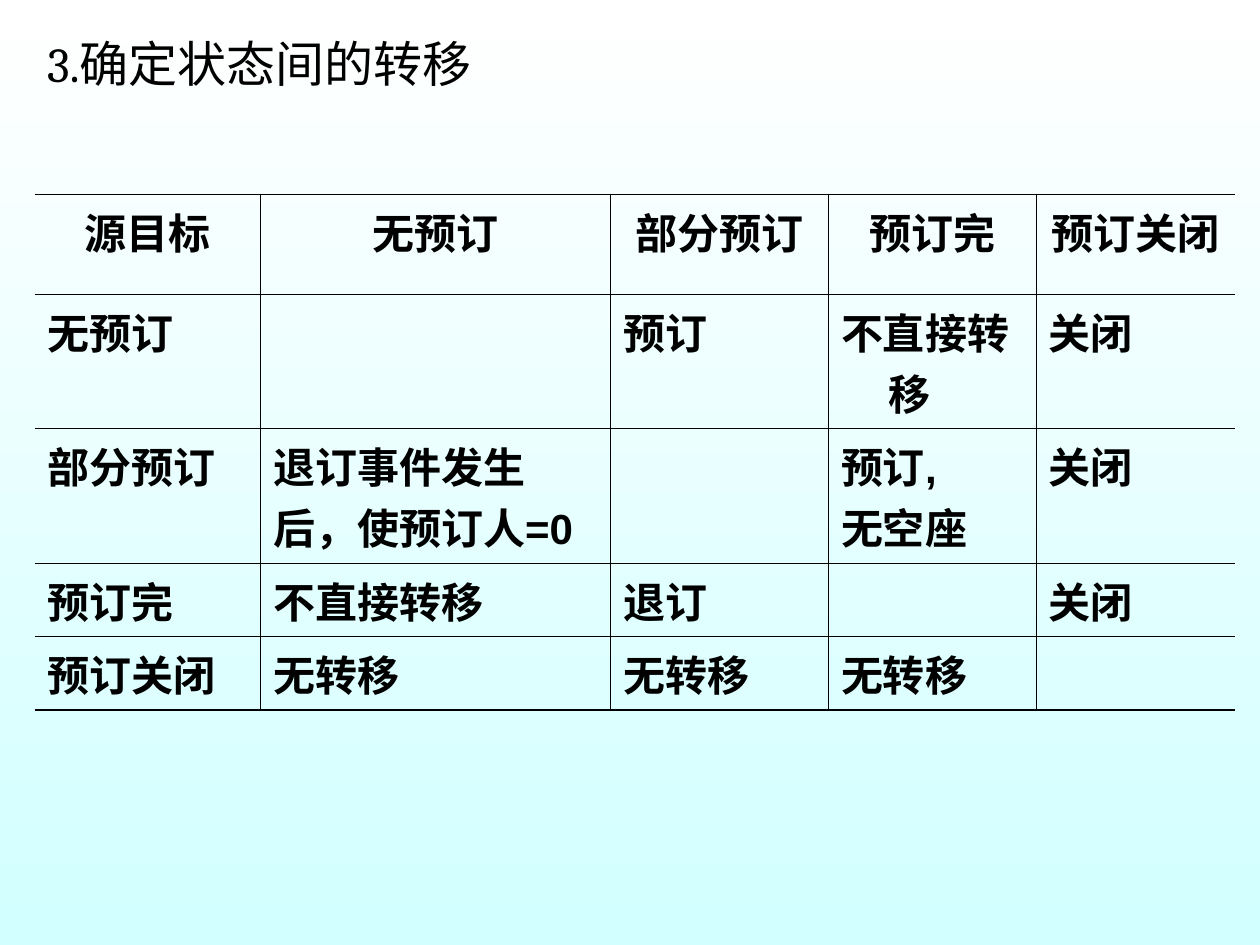
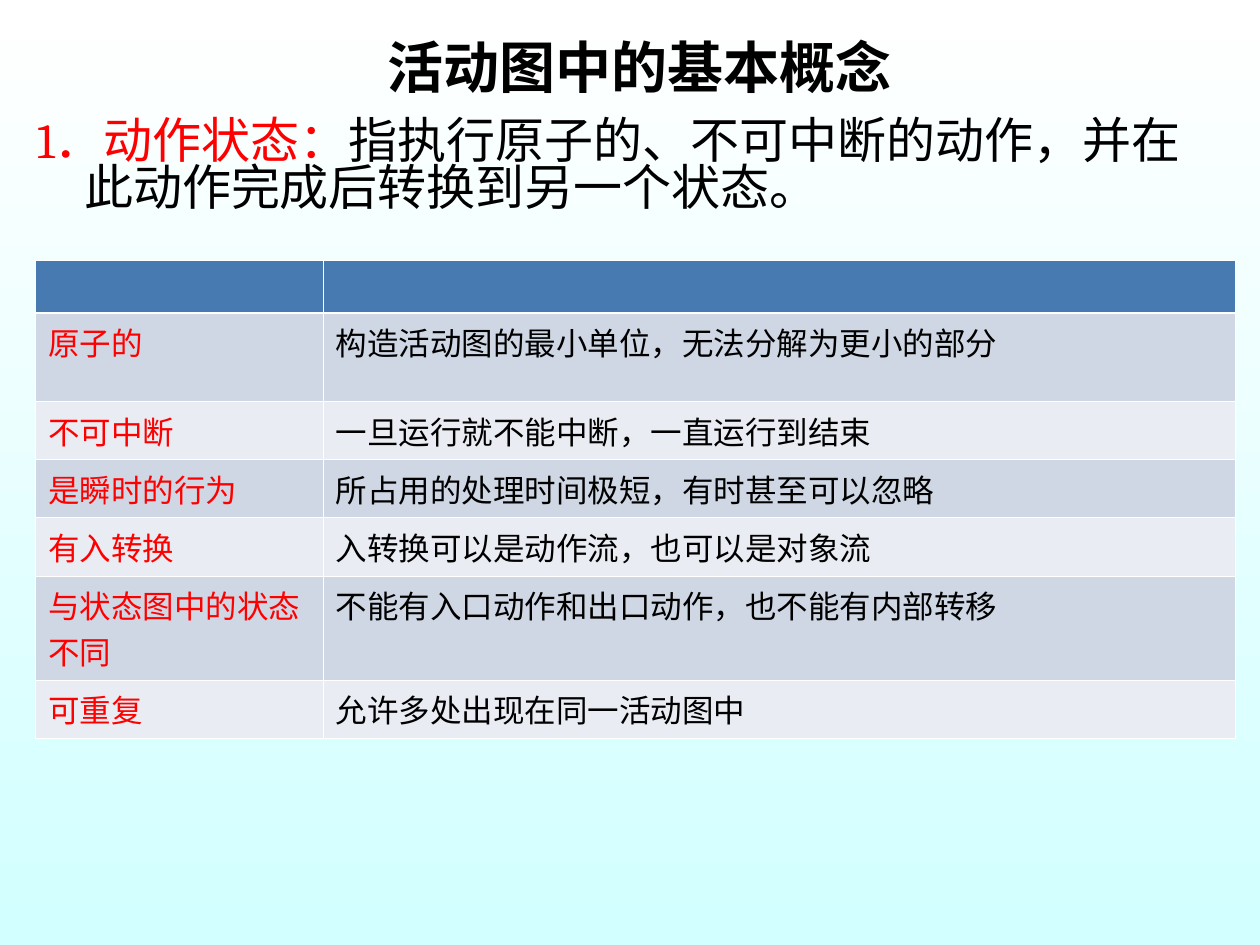
from lxml.etree import SubElement, Element
from pptx import Presentation
from pptx.dml.color import RGBColor as Rgb
from pptx.enum.text import MSO_ANCHOR as Anchor, PP_ALIGN as Align
from pptx.oxml.ns import qn
from pptx.util import Cm, Pt

COLOURS = {
    "black": "000000", "red": "FF0000", "white": "FFFFFF", "aqua": "D2FFFF",
    "header": "477AB1", "band": "CFD7E4", "pale": "E9ECF2",
}
HEADING = {"size": Pt(28), "name": "Cambria", "bold": False}
TOPIC = {"size": Pt(32), "name": "Arial", "bold": True}
STATE = {"size": Pt(24), "name": "Arial", "bold": True}
CONCEPT = {"size": Pt(18), "name": "Cambria", "bold": False}
FRAME = {"word_wrap": True, "margin_left": Cm(0.25), "margin_right": Cm(0.25),
         "margin_top": Cm(0.13), "margin_bottom": Cm(0.13)}
PLAIN_TABLE = {"first_row": False, "horz_banding": False}
HANGING = Cm(0.95)


def write(paragraph, pieces, look, align=Align.LEFT, hanging=0):
    paragraph.alignment = align
    properties = paragraph._p.get_or_add_pPr()
    properties.set("marL", str(hanging))
    properties.set("indent", str(-hanging))
    for text, colour in pieces:
        run = paragraph.add_run()
        run.text = text
        for key, value in look.items():
            setattr(run.font, key, value)
        run.font.color.rgb = Rgb.from_string(COLOURS[colour])


def draw_borders(cell, widths, colour):
    properties = cell._tc.get_or_add_tcPr()
    for index, (side, width) in enumerate(zip("LRTB", widths)):
        line = Element(qn(f"a:ln{side}"), w=str(Pt(width)))
        if width:
            fill = SubElement(line, qn("a:solidFill"))
            SubElement(fill, qn("a:srgbClr"), val=COLOURS[colour])
        else:
            SubElement(line, qn("a:noFill"))
        properties.insert(index, line)


deck = Presentation()
deck.slide_width, deck.slide_height = Cm(25.4), Cm(19.05)
backdrop = deck.slide_master.background.fill
backdrop.gradient()
backdrop.gradient_angle = 270
for stop, position, colour in zip(backdrop.gradient_stops, (0, 1), ("white", "aqua")):
    stop.position = position
    stop.color.rgb = Rgb.from_string(COLOURS[colour])

pages = [
    {
        "title": "3.确定状态间的转移", "title look": HEADING,
        "title at": (0.7, 0.4), "anchor": Anchor.MIDDLE,
        "align": Align.LEFT, "hanging": HANGING,
        "table at": (0.7, 3.92),
        "columns": [4.55, 7.06, 4.39, 4.19, 4.01],
        "rows": [2.01, 2.29, 2.29, 1.27, 1.27],
        "cells": [
            ["源目标", "无预订", "部分预订", "预订完", "预订关闭"],
            ["无预订", "", "预订", "不直接转移", "关闭"],
            ["部分预订", "退订事件发生\n后，使预订人=0", "", "预订,\n无空座", "关闭"],
            ["预订完", "不直接转移", "退订", "", "关闭"],
            ["预订关闭", "无转移", "无转移", "无转移", ""],
        ],
        "cell look": STATE, "first colour": "black", "fills": [None] * 5,
        "rules": [1.08] + [0.45] * 4 + [1.08], "edge": 0, "border": "black",
    },
    {
        "title": "活动图中的基本概念", "title look": TOPIC,
        "title at": (0.89, 0.53), "anchor": Anchor.TOP,
        "align": Align.CENTER, "hanging": 0,
        "table at": (0.72, 5.24),
        "columns": [5.79, 18.39],
        "rows": [1.07, 1.78, 1.07, 1.07, 1.07, 1.78, 1.07],
        "cells": [
            ["", ""],
            ["原子的", "构造活动图的最小单位，无法分解为更小的部分"],
            ["不可中断", "一旦运行就不能中断，一直运行到结束"],
            ["是瞬时的行为", "所占用的处理时间极短，有时甚至可以忽略"],
            ["有入转换", "入转换可以是动作流，也可以是对象流"],
            ["与状态图中的状态不同", "不能有入口动作和出口动作，也不能有内部转移"],
            ["可重复", "允许多处出现在同一活动图中"],
        ],
        "cell look": CONCEPT, "first colour": "red",
        "fills": ["header"] + ["band", "pale"] * 3,
        "rules": [0.45, 1.47] + [0.45] * 6, "edge": 0.45, "border": "white",
    },
]

for page in pages:
    slide = deck.slides.add_slide(deck.slide_layouts[5])
    title = slide.shapes.title
    title.left, title.top = map(Cm, page["title at"])
    title.width, title.height = Cm(24), Cm(1.75)
    for key, value in FRAME.items():
        setattr(title.text_frame, key, value)
    title.text_frame.vertical_anchor = page["anchor"]
    write(title.text_frame.paragraphs[0], [(page["title"], "black")],
          page["title look"], page["align"], page["hanging"])

    columns, rows = page["columns"], page["rows"]
    left, top = map(Cm, page["table at"])
    table = slide.shapes.add_table(len(rows), len(columns), left, top,
                                   Cm(sum(columns)), Cm(sum(rows))).table
    for key, value in PLAIN_TABLE.items():
        setattr(table, key, value)
    for column, width in zip(table.columns, columns):
        column.width = Cm(width)
    uprights = [page["edge"]] + [0.45] * (len(columns) - 1) + [page["edge"]]

    for r, (height, texts, fill) in enumerate(zip(rows, page["cells"], page["fills"])):
        table.rows[r].height = Cm(height)
        for c, text in enumerate(texts):
            cell = table.cell(r, c)
            if fill:
                cell.fill.solid()
                cell.fill.fore_color.rgb = Rgb.from_string(COLOURS[fill])
            else:
                cell.fill.background()
            draw_borders(cell, uprights[c:c + 2] + page["rules"][r:r + 2], page["border"])
            align = Align.CENTER if r == 0 else Align.LEFT
            colour = page["first colour"] if c == 0 else "black"
            for n, line in enumerate(text.split("\n") if text else []):
                frame = cell.text_frame
                paragraph = frame.add_paragraph() if n else frame.paragraphs[0]
                write(paragraph, [(line, colour)], page["cell look"], align, page["hanging"])

definition = slide.shapes.add_textbox(Cm(0.5), Cm(2.31), Cm(24.41), Cm(14.4)).text_frame
for key, value in FRAME.items():
    setattr(definition, key, value)
write(definition.paragraphs[0],
      [("1．动作状态：", "red"),
       ("指执行原子的、不可中断的动作，并在此动作完成后转换到另一个状态。", "black")],
      HEADING, hanging=HANGING)
definition.paragraphs[0].line_spacing = 0.8

deck.save("out.pptx")
